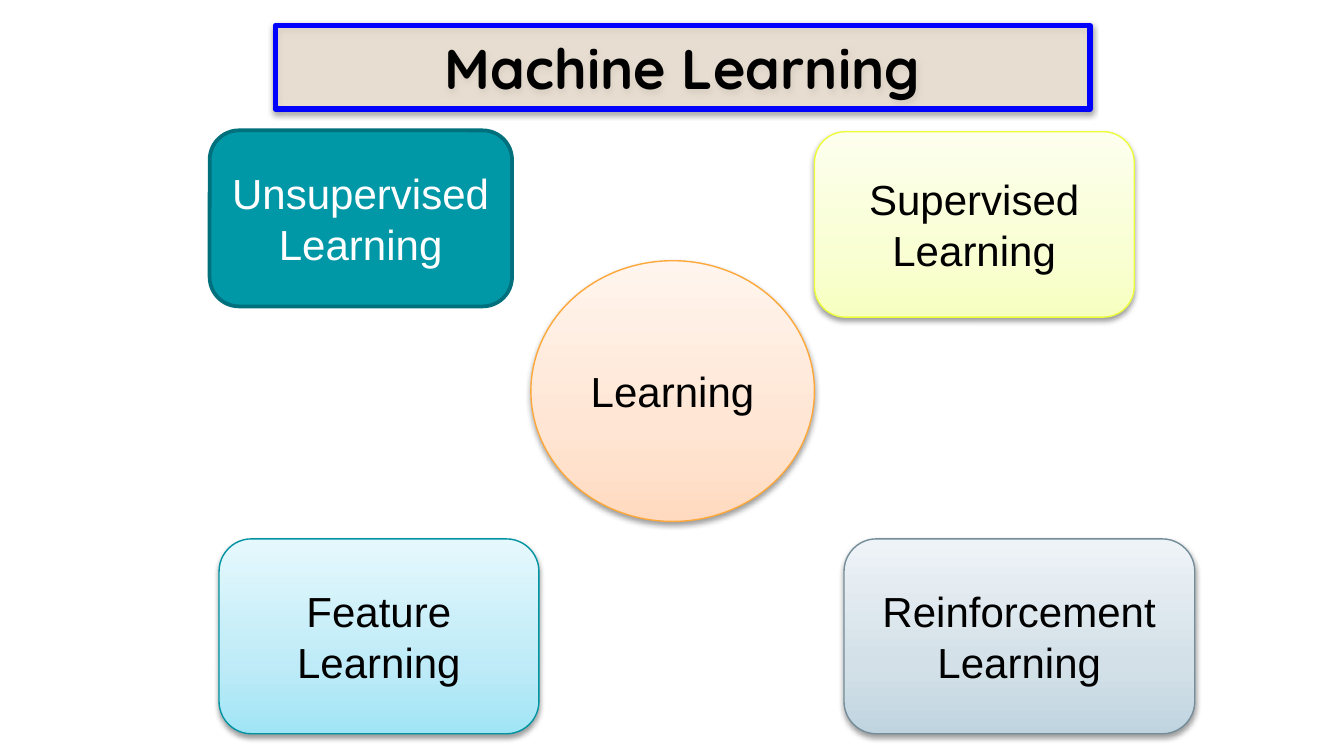
from lxml import etree
from pptx import Presentation
from pptx.dml.color import RGBColor
from pptx.enum.shapes import MSO_SHAPE as Kind
from pptx.enum.text import MSO_ANCHOR as Anchor, PP_ALIGN as Align
from pptx.oxml.ns import qn
from pptx.util import Inches, Pt


def color(code):
    return RGBColor.from_string(code)


def add_color(parent, code, alpha=None):
    """Append an XML colour, with its opacity in percent."""
    node = etree.SubElement(parent, qn("a:srgbClr"), val=code)
    if alpha is not None:
        etree.SubElement(node, qn("a:alpha"), val=str(alpha * 1000))


def fill_solid(shape, code, alpha=None):
    shape.fill.solid()
    shape.fill.fore_color.rgb = color(code)
    if alpha is not None:
        node = shape._element.spPr.find(qn("a:solidFill"))
        node.clear()
        add_color(node, code, alpha)


def fill_fade(shape, codes):
    """Fade three colours from the bottom edge to the top."""
    shape.fill.gradient()
    shape.fill.gradient_angle = 90
    stops = shape._element.spPr.find(qn("a:gradFill")).find(qn("a:gsLst"))
    stops.clear()
    for place, code in zip((0, 35, 100), codes):
        add_color(etree.SubElement(stops, qn("a:gs"), pos=str(place * 1000)), code)


def add_shadow(shape):
    effects = shape._element.spPr.find(qn("a:effectLst"))
    outer = etree.SubElement(
        effects, qn("a:outerShdw"), blurRad=str(Pt(3.1)), dist=str(Pt(1.6)),
        dir="5400000", rotWithShape="0")
    add_color(outer, "000000", 38)


def set_text(shape, text, size=22.5, font="Arial", ink="000000", bold=False):
    frame = shape.text_frame
    frame.word_wrap = True
    frame.vertical_anchor = Anchor.MIDDLE
    para = frame.paragraphs[0]
    para.alignment = Align.CENTER
    run = para.add_run()
    run.text = text
    run.font.size = Pt(size)
    run.font.name = font
    run.font.bold = bold
    run.font.color.rgb = color(ink)


def add_box(slide, kind, place, edge, width=0.75):
    shape = slide.shapes.add_shape(kind, *map(Inches, place))
    shape.shadow.inherit = False
    shape.line.color.rgb = color(edge)
    shape.line.width = Pt(width)
    return shape


def add_topic(slide, text, kind, place, edge, codes):
    shape = add_box(slide, kind, place, edge)
    fill_fade(shape, codes)
    add_shadow(shape)
    set_text(shape, text)


def add_focus(slide, text, place):
    """Add the plain dark topic with white text."""
    shape = add_box(slide, Kind.ROUNDED_RECTANGLE, place, "00707C", 2)
    fill_solid(shape, "0097A7")
    set_text(shape, text, ink="FFFFFF")


def add_title(slide, text, place):
    shape = add_box(slide, Kind.RECTANGLE, place, "0000FF", 3)
    fill_solid(shape, "FFEED9", 60)
    add_shadow(shape)
    frame = shape.text_frame
    frame.margin_left = frame.margin_right = Inches(0.07)
    frame.margin_top = frame.margin_bottom = Inches(0.04)
    set_text(shape, text, size=30, font="Quicksand", bold=True)


def main():
    deck = Presentation()
    deck.slide_width = Inches(10)
    deck.slide_height = Inches(10 * 9 / 16)
    slide = deck.slides.add_slide(deck.slide_layouts[6])
    add_topic(slide, "Learning", Kind.OVAL, (3.95, 1.94, 2.11, 1.94),
              "FEA83A", ("FFDAC0", "FFE5D3", "FFF5EE"))
    add_topic(slide, "Supervised Learning", Kind.ROUNDED_RECTANGLE,
              (6.06, 0.98, 2.38, 1.38),
              "EDFE3B", ("F7FFC0", "F9FFD3", "FDFFEE"))
    add_focus(slide, "Unsupervised Learning", (1.56, 0.97, 2.25, 1.31))
    add_topic(slide, "Feature Learning", Kind.ROUNDED_RECTANGLE,
              (1.63, 4.01, 2.38, 1.45),
              "0094A3", ("A0E5F5", "BEEBF7", "E5F8FD"))
    add_title(slide, "Machine Learning", (2.05, 0.19, 6.06, 0.62))
    add_topic(slide, "Reinforcement Learning", Kind.ROUNDED_RECTANGLE,
              (6.28, 4.01, 2.61, 1.45),
              "748D99", ("C0D4E0", "D3E0E8", "EEF3F7"))
    deck.save("out.pptx")


if __name__ == "__main__":
    main()
